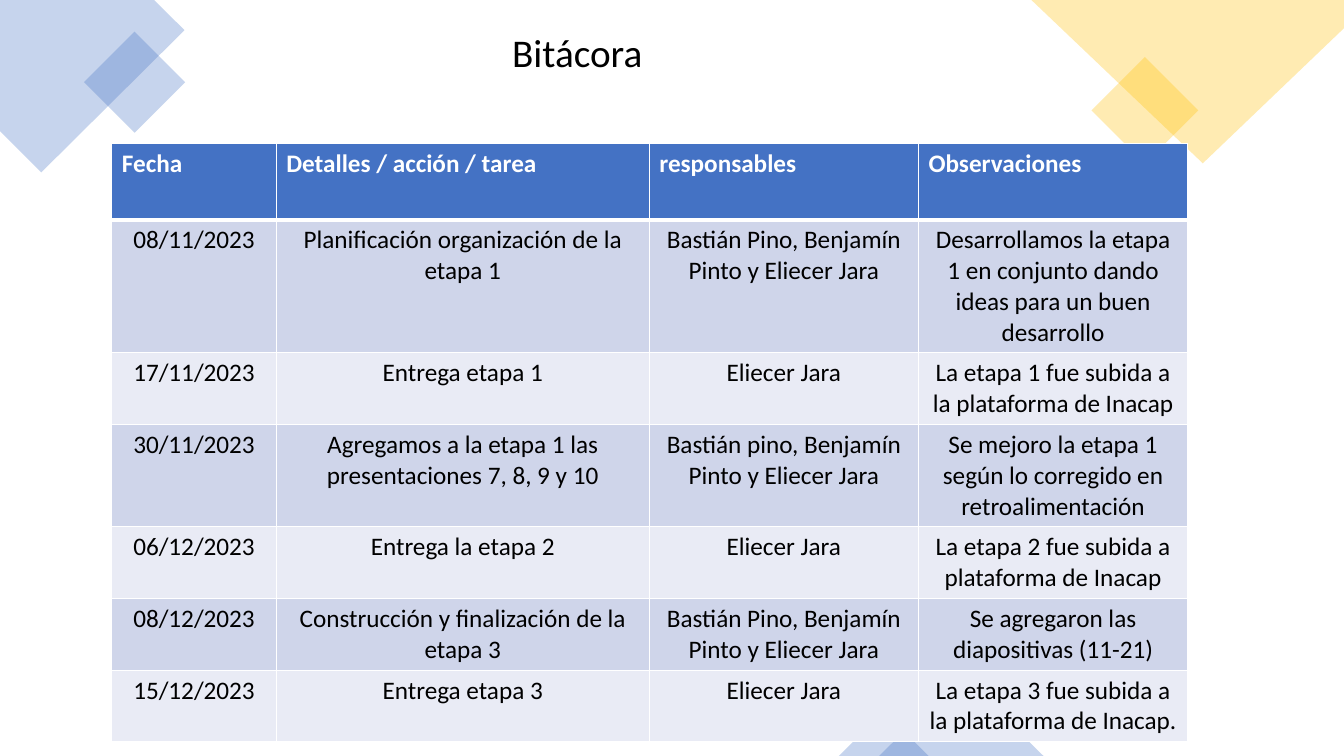
from collections import namedtuple
from lxml.etree import SubElement
from pptx import Presentation
from pptx.dml.color import RGBColor
from pptx.enum.shapes import MSO_SHAPE
from pptx.enum.text import MSO_ANCHOR, PP_ALIGN
from pptx.oxml.ns import qn
from pptx.util import Inches, Pt

Box = namedtuple("Box", "x y w h")
Theme = namedtuple("Theme", "font title body blue gold white black bands alpha")
THEME = Theme("Calibri", 28, 18, "4472C4", "FFC000", "FFFFFF", "000000",
              ("CFD5EA", "E9EBF5"), 30)

COLS = (1.63, 3.7, 2.67, 2.67)
HEAD = ("Fecha", "Detalles / acción / tarea", "responsables", "Observaciones")
TEAM = "Bastián Pino, Benjamín Pinto y Eliecer Jara"
LOG = (
    ("08/11/2023", "Planificación organización de la etapa 1", TEAM,
     "Desarrollamos la etapa 1 en conjunto dando ideas para un buen desarrollo"),
    ("17/11/2023", "Entrega etapa 1", "Eliecer Jara",
     "La etapa 1 fue subida a la plataforma de Inacap"),
    ("30/11/2023", "Agregamos a la etapa 1 las presentaciones 7, 8, 9 y 10",
     "Bastián pino, Benjamín Pinto y Eliecer Jara",
     "Se mejoro la etapa 1 según lo corregido en retroalimentación"),
    ("06/12/2023", "Entrega la etapa 2", "Eliecer Jara",
     "La etapa 2 fue subida a plataforma de Inacap"),
    ("08/12/2023", "Construcción y finalización de la etapa 3", TEAM,
     "Se agregaron las diapositivas (11-21)"),
    ("15/12/2023", "Entrega etapa 3", "Eliecer Jara",
     "La etapa 3 fue subida a la plataforma de Inacap."),
)


def tint(shape, color):
    """Give a shape a see-through fill with no line or shadow."""
    shape.shadow.inherit = False
    shape.fill.solid()
    shape.fill.fore_color.rgb = RGBColor.from_string(color)
    shape.line.fill.background()
    tone = shape.fill._xPr.find(qn("a:solidFill"))[0]
    SubElement(tone, qn("a:alpha")).set("val", str(THEME.alpha * 1000))


def block(slide, kind, box, color, turn=0):
    """Add one tinted preset shape."""
    shape = slide.shapes.add_shape(kind, *map(Inches, box))
    shape.rotation = turn
    tint(shape, color)


def corner(slide, box, points, square, color):
    """Fill a corner with a cut outline and a small diamond."""
    spots = [(Inches(box.x + x), Inches(box.y + y)) for x, y in points]
    pen = slide.shapes.build_freeform(*spots[0])
    pen.add_line_segments(spots[1:], close=True)
    tint(pen.convert_to_shape(), color)
    x, y, side = square
    place = Box(box.x + x, box.y + y, side, side)
    block(slide, MSO_SHAPE.RECTANGLE, place, color, 315)


def foot(slide, box):
    """Set two overlapping peaks on the bottom edge."""
    for x, w, h in ((0.4, 1.63, 0.81), (0, 0.89, 0.44)):
        place = Box(box.x + x, box.y + box.h - h, w, h)
        block(slide, MSO_SHAPE.ISOSCELES_TRIANGLE, place, THEME.blue)


def write(para, text, size, color, bold=False):
    """Add a styled run to a paragraph."""
    run = para.add_run()
    run.text = text
    font = run.font
    font.name, font.size, font.bold = THEME.font, Pt(size), bold
    font.color.rgb = RGBColor.from_string(color)


def title(slide, box, text):
    """Place the centred slide title."""
    frame = slide.shapes.add_textbox(*map(Inches, box)).text_frame
    frame.word_wrap = True
    frame.vertical_anchor = MSO_ANCHOR.TOP
    para = frame.paragraphs[0]
    para.alignment = PP_ALIGN.CENTER
    para.line_spacing = 0.9
    write(para, text, THEME.title, THEME.black)


def edge(cell, row):
    """Draw white cell borders, thick below the header."""
    thick = {(0, "B"), (1, "T")}
    for side in "LRTB":
        line = SubElement(cell._tc.get_or_add_tcPr(), qn("a:ln" + side))
        line.set("w", str(Pt(3 if (row, side) in thick else 1)))
        fill = SubElement(line, qn("a:solidFill"))
        SubElement(fill, qn("a:srgbClr")).set("val", THEME.white)


def journal(slide, box):
    """Build the dated log table."""
    rows = (HEAD, *LOG)
    frame = slide.shapes.add_table(len(rows), len(COLS), *map(Inches, box))
    table = frame.table
    for col, width in zip(table.columns, COLS):
        col.width = Inches(width)
    for r, texts in enumerate(rows):
        top = r == 0
        table.rows[r].height = Inches(0.76 if top else 0.71)
        for c, text in enumerate(texts):
            cell = table.cell(r, c)
            edge(cell, r)
            cell.fill.solid()
            shade = THEME.blue if top else THEME.bands[(r - 1) % 2]
            cell.fill.fore_color.rgb = RGBColor.from_string(shade)
            para = cell.text_frame.paragraphs[0]
            para.alignment = PP_ALIGN.LEFT if top else PP_ALIGN.CENTER
            ink = THEME.white if top else THEME.black
            write(para, text, THEME.body, ink, top)


def main():
    """Build and save the log slide."""
    deck = Presentation()
    deck.slide_width, deck.slide_height = Inches(13.33), Inches(7.5)
    slide = deck.slides.add_slide(deck.slide_layouts[6])
    corner(slide, Box(0, 0, 1.83, 1.71),
           ((1.53, 0), (0, 0), (0, 1.3), (0.41, 1.71), (1.83, 0.3)),
           (0.98, 0.46, 0.71), THEME.blue)
    corner(slide, Box(10.23, 0, 3.1, 1.62),
           ((3.1, 0), (0, 0), (1.7, 1.62), (3.1, 0.28)),
           (0.75, 0.72, 0.75), THEME.gold)
    foot(slide, Box(8.32, 6.69, 2.03, 0.81))
    journal(slide, Box(1.11, 1.42, sum(COLS), 5.02))
    title(slide, Box(2.11, 0.28, 7.23, 0.86), "Bitácora")
    deck.save("out.pptx")


if __name__ == "__main__":
    main()
